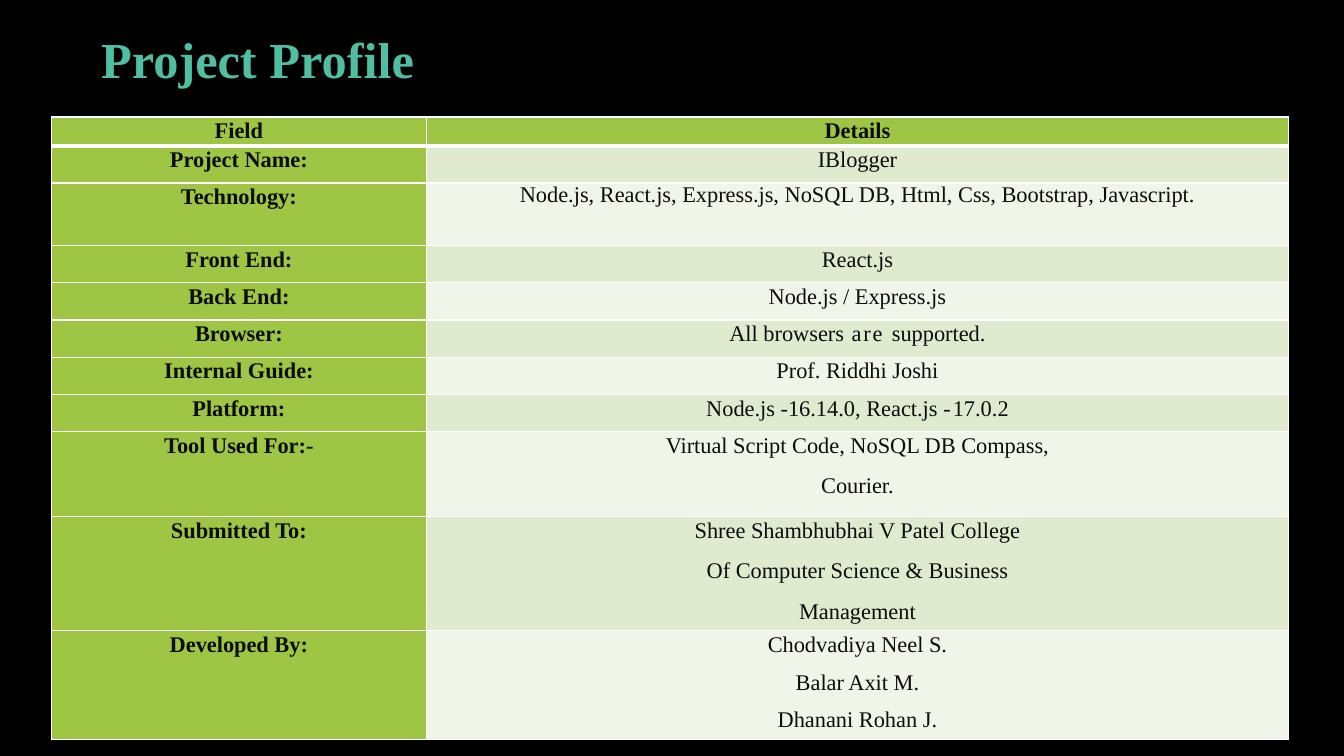
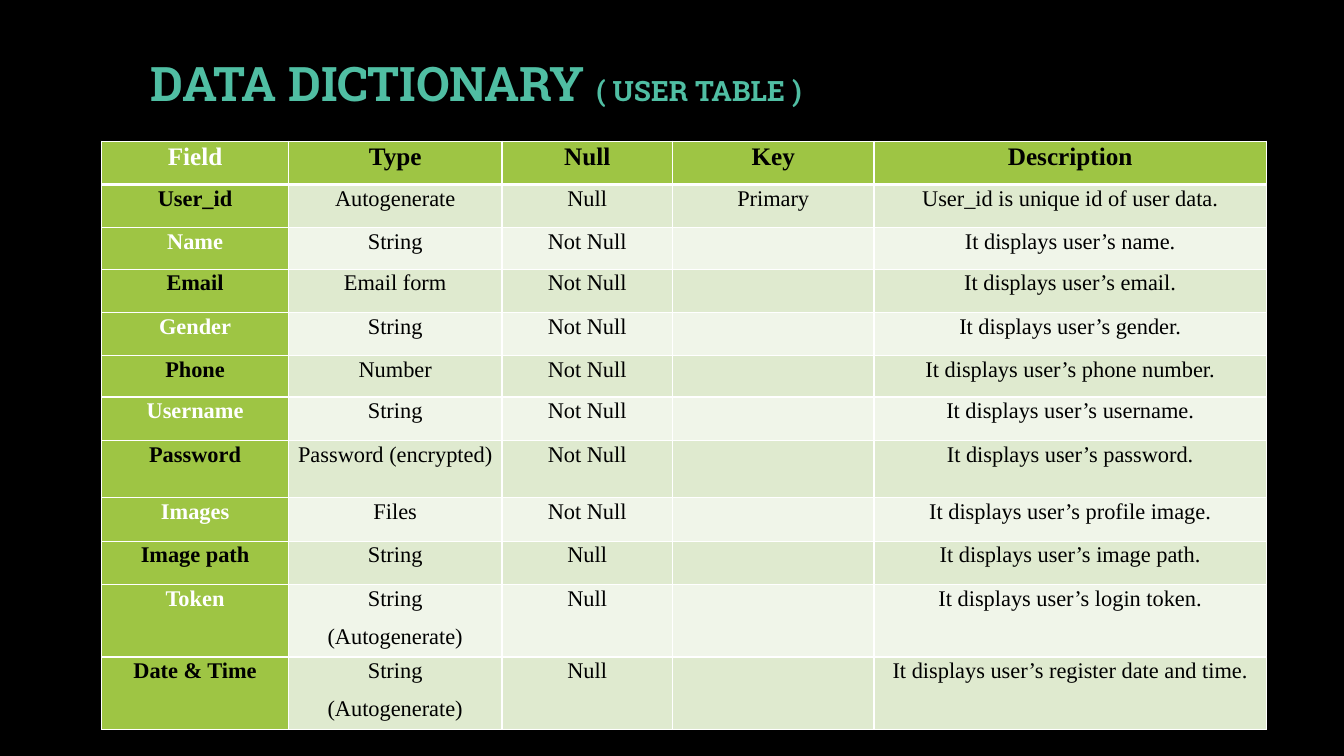
import pptx
import pptx.dml.color
import pptx.enum.text
import pptx.oxml
import pptx.oxml.ns
import pptx.util

Inches = pptx.util.Inches
Pt = pptx.util.Pt

BLACK, INK, WHITE = "000000", "0D0D0D", "FFFFFF"
TEAL, GREEN = "50BEA3", "9EC544"
BANDS = ("DFEACF", "F0F5E9")
SERIF, SLAB = "Times New Roman", "Roboto Slab"

PROFILE = [
    ("Field", "Details"),
    ("Project Name:", "IBlogger"),
    ("Technology:", "Node.js, React.js, Express.js, NoSQL DB, Html, Css, Bootstrap, Javascript."),
    ("Front End:", "React.js"),
    ("Back End:", "Node.js / Express.js"),
    ("Browser:", [("All browsers", 0), (" are ", 1.3), ("supported.", 0)]),
    ("Internal Guide:", "Prof. Riddhi Joshi"),
    ("Platform:", [("Node.js -16.14.0, React.js ", 0), ("-", 1.5), ("17.0.2", 0)]),
    ("Tool Used For:-", "Virtual Script Code, NoSQL DB Compass,\nCourier."),
    ("Submitted To:",
     "Shree Shambhubhai V Patel College\nOf Computer Science & Business\nManagement"),
    ("Developed By:", "Chodvadiya Neel S.\nBalar Axit M.\nDhanani Rohan J."),
]
PROFILE_HEIGHTS = [0.25, 0.37, 0.62] + [0.37] * 5 + [0.84, 1.1, 1.05]

USER_FIELDS = [
    ("Field", "Type", "Null", "Key", "Description"),
    ("User_id", "Autogenerate", "Null", "Primary", "User_id is unique id of user data."),
    ("Name", "String", "Not Null", "", "It displays user’s name."),
    ("Email", "Email form", "Not Null", "", "It displays user’s email."),
    ("Gender", "String", "Not Null", "", "It displays user’s gender."),
    ("Phone", "Number", "Not Null", "", "It displays user’s phone number."),
    ("Username", "String", "Not Null", "", "It displays user’s username."),
    ("Password", "Password (encrypted)", "Not Null", "", "It displays user’s password."),
    ("Images", "Files", "Not Null", "", "It displays user’s profile image."),
    ("Image path", "String", "Null", "", "It displays user’s image path."),
    ("Token", "String\n(Autogenerate)", "Null", "", "It displays user’s login token."),
    ("Date & Time", "String\n(Autogenerate)", "Null", "",
     "It displays user’s register date and time."),
]
USER_HEIGHTS = [0.43, 0.43, 0.41, 0.43, 0.43, 0.41, 0.43, 0.57, 0.43, 0.43, 0.72, 0.72]


def rgb(value):
    return pptx.dml.color.RGBColor.from_string(value)


def set_borders(cell, top, bottom):
    """Draw white cell borders; top and bottom widths are in points."""
    tcPr = cell._tc.get_or_add_tcPr()
    for side, width in (("L", 1), ("R", 1), ("T", top), ("B", bottom)):
        tcPr.append(pptx.oxml.parse_xml(
            f'<a:ln{side} {pptx.oxml.ns.nsdecls("a")} w="{Pt(width)}">'
            f'<a:solidFill><a:srgbClr val="{WHITE}"/></a:solidFill></a:ln{side}>'))


class Deck:
    def __init__(self):
        self.prs = pptx.Presentation()
        self.prs.slide_width = Inches(13.33)
        self.prs.slide_height = Inches(7.5)
        self.s = None

    def slide(self):
        self.s = self.prs.slides.add_slide(self.prs.slide_layouts[6])
        fill = self.s.background.fill
        fill.solid()
        fill.fore_color.rgb = rgb(BLACK)

    def style(self, p, font, color, bold, spacing):
        p.alignment = pptx.enum.text.PP_ALIGN.CENTER
        p.line_spacing = spacing
        p.font.name = font
        p.font.color.rgb = rgb(color)
        p.font.bold = bold

    def title(self, box, font, runs):
        """Add a title from (text, size) runs."""
        tf = self.s.shapes.add_textbox(*map(Inches, box)).text_frame
        tf.word_wrap = True
        tf.margin_left = tf.margin_right = 0
        tf.vertical_anchor = pptx.enum.text.MSO_ANCHOR.MIDDLE
        p = tf.paragraphs[0]
        self.style(p, font, TEAL, True, 0.9)
        for text, size in runs:
            r = p.add_run()
            r.text = text
            r.font.size = Pt(size)

    def cell_text(self, cell, content, color, bold, size, before, after, spacing):
        """Write lines of text, or one line of (text, letter spacing) runs."""
        tf = cell.text_frame
        if isinstance(content, str):
            lines = [[(line, 0)] for line in content.split("\n")]
        else:
            lines = [content]
        for i, runs in enumerate(lines):
            p = tf.add_paragraph() if i else tf.paragraphs[0]
            self.style(p, SERIF, color, bold, spacing)
            p.font.size = Pt(size)
            p.space_before = Pt(before if i else 0)
            p.space_after = Pt(after)
            for text, tracking in runs:
                if not text:
                    continue
                r = p.add_run()
                r.text = text
                if tracking:
                    r._r.get_or_add_rPr().set("spc", str(round(tracking * 100)))

    def table(self, corner, widths, heights, rows, color, inset, before=0, after=8,
              head_size=16, label_colors=None, special=None):
        """Add a table; special maps (row, column) to paragraph settings."""
        label_colors = label_colors or (color, color)
        box = (*corner, sum(widths), sum(heights))
        table = self.s.shapes.add_table(
            len(rows), len(widths), *map(Inches, box)).table
        table.horz_banding = False
        for column, width in zip(table.columns, widths):
            column.width = Inches(width)
        for i, (row, height) in enumerate(zip(rows, heights)):
            table.rows[i].height = Inches(height)
            for j, content in enumerate(row):
                cell = table.cell(i, j)
                cell.margin_left = cell.margin_right = Inches(inset)
                cell.margin_top = cell.margin_bottom = 0
                set_borders(cell, 3 if i == 1 else 1, 3 if i == 0 else 1)
                strong = i == 0 or j == 0
                cell.fill.solid()
                cell.fill.fore_color.rgb = rgb(GREEN if strong else BANDS[(i - 1) % 2])
                look = {"before": before, "after": after, "spacing": 1.07}
                look.update((special or {}).get((i, j), {}))
                self.cell_text(cell, content, label_colors[i % 2] if j == 0 else color,
                               strong, head_size if i == 0 else 16, **look)


def main():
    deck = Deck()

    deck.slide()
    deck.title((0.86, 0.26, 3.39, 0.72), SERIF, [("Project Profile", 36)])
    deck.table((0.51, 1.16), (3.72, 8.55), PROFILE_HEIGHTS, PROFILE, INK, 0.04,
               before=5, after=5,
               special={(2, 1): {"spacing": 1.0, "after": 0},
                        (10, 1): {"before": 0, "after": 8}})

    deck.slide()
    deck.title((1.01, 0.48, 7.43, 0.75), SLAB,
               [("DATA DICTIONARY ", 34), ("( USER TABLE )", 20)])
    deck.table((1.01, 1.4), (1.85, 2.12, 1.69, 2, 3.89), USER_HEIGHTS, USER_FIELDS,
               BLACK, 0.07, head_size=18, label_colors=(WHITE, BLACK))

    deck.prs.save("out.pptx")


if __name__ == "__main__":
    main()
